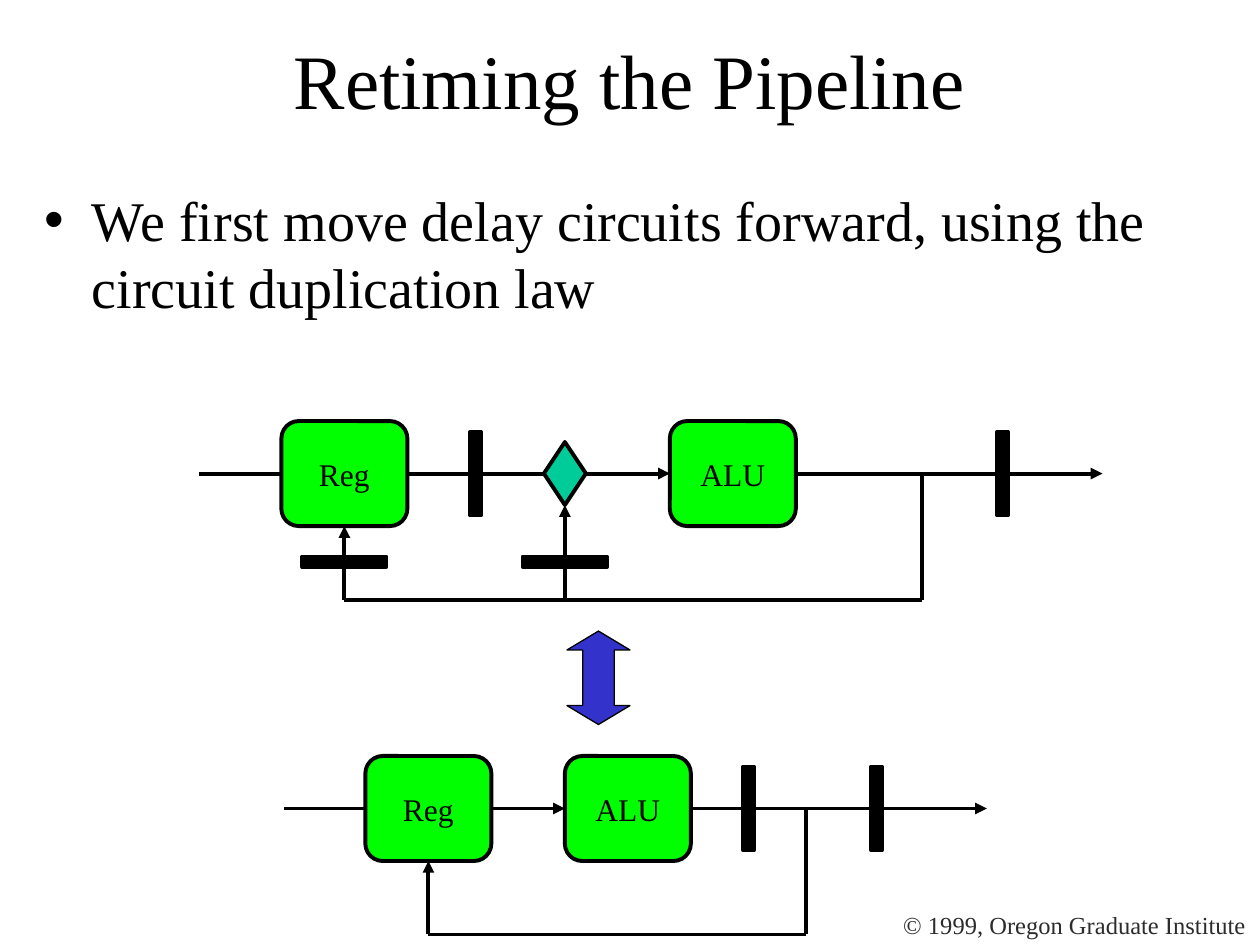
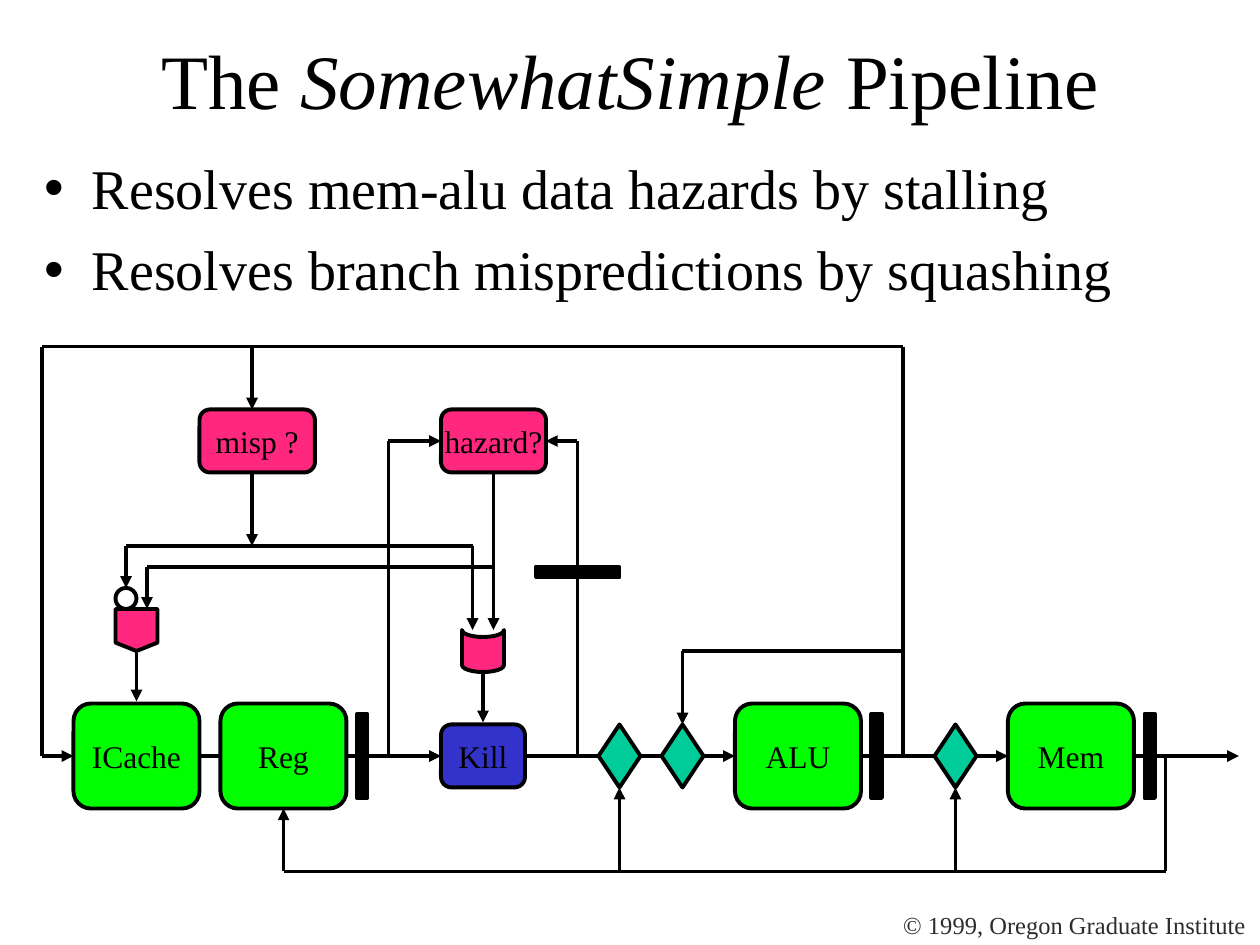
from itertools import pairwise

from lxml import etree
from pptx import Presentation
from pptx import util as u
from pptx.dml.color import RGBColor
from pptx.enum import shapes, text
from pptx.oxml.ns import qn

BLACK = RGBColor(0x00, 0x00, 0x00)
WHITE = RGBColor(0xFF, 0xFF, 0xFF)
FOOTER_GREY = RGBColor(0x2C, 0x2C, 0x2C)
STAGE_GREEN = RGBColor(0x01, 0xFF, 0x01)
MUX_TEAL = RGBColor(0x00, 0xCC, 0x99)
CONTROL_PINK = RGBColor(0xFF, 0x27, 0x7E)
BLUE = RGBColor(0x33, 0x33, 0xCC)

FONT = "Times New Roman"
FOOTER = "© 1999, Oregon Graduate Institute"
LINE_WIDTH = 2.25
KIND = shapes.MSO_SHAPE


def grid(n):
    """Length of n grid cells, twelve to the inch."""
    return u.Inches(n / 12)


def place(sp, left, top, width, height):
    sp.left, sp.top, sp.width, sp.height = map(
        u.Inches, (left, top, width, height))


def style(p, size, color=BLACK, align=text.PP_ALIGN.LEFT):
    p.font.name, p.font.size = FONT, u.Pt(size)
    p.font.color.rgb = color
    p.alignment = align


def add_title(slide, runs):
    """Fill the title from (text, italic) pairs."""
    sp = slide.shapes.title
    place(sp, 0.75, 0, 8.5, 1.25)
    tf = sp.text_frame
    tf.auto_size = text.MSO_AUTO_SIZE.NONE
    tf.vertical_anchor = text.MSO_ANCHOR.MIDDLE
    p = tf.paragraphs[0]
    style(p, 44, align=text.PP_ALIGN.CENTER)
    for words, italic in runs:
        r = p.add_run()
        r.text, r.font.italic = words, italic


def add_bullets(slide, top, height, items):
    sp = slide.placeholders[1]
    place(sp, 0.25, top, 9.5, height)
    tf = sp.text_frame
    tf.text = "\n".join(items)
    tf.auto_size = text.MSO_AUTO_SIZE.NONE
    for p in tf.paragraphs:
        style(p, 32)
        p.space_before = u.Pt(8)
        props = p._p.get_or_add_pPr()
        props.set("marL", str(u.Inches(0.38)))
        props.set("indent", str(u.Inches(-0.38)))
        etree.SubElement(props, qn("a:buChar"), char="•")


def add_footer(slide):
    sp = slide.shapes.add_textbox(0, 0, 0, 0)
    place(sp, 7.07, 7.17, 2.92, 0.34)
    tf = sp.text_frame
    tf.word_wrap = False
    p = tf.paragraphs[0]
    p.text = FOOTER
    style(p, 14, FOOTER_GREY)


def new_slide(prs, title, top, height, bullets):
    slide = prs.slides.add_slide(prs.slide_layouts[1])
    add_footer(slide)
    add_title(slide, title)
    add_bullets(slide, top, height, bullets)
    return slide


def add_wire(slide, *points, arrow=True):
    """Join grid points with straight lines, the last one ending in an arrow."""
    for start, end in pairwise(points):
        line = slide.shapes.add_connector(
            shapes.MSO_CONNECTOR.STRAIGHT, *map(grid, start + end))
        line.line.color.rgb = BLACK
        line.line.width = u.Pt(LINE_WIDTH)
        etree.SubElement(line._element.spPr, qn("a:effectLst"))
    if arrow:
        etree.SubElement(line.line._get_or_add_ln(), qn("a:tailEnd"),
                         type="triangle")


def add_node(slide, kind, x, y, w, h, fill, rotation=0):
    """Add a shape centred on the grid point (x, y)."""
    sp = slide.shapes.add_shape(
        kind, grid(x - w / 2), grid(y - h / 2), grid(w), grid(h))
    sp.shadow.inherit = False
    sp.rotation = rotation
    sp.fill.solid()
    sp.fill.fore_color.rgb = fill
    sp.line.color.rgb = BLACK
    sp.line.width = u.Pt(LINE_WIDTH)
    return sp


def add_block(slide, label, x, y, w=12, h=10, fill=STAGE_GREEN):
    sp = add_node(slide, KIND.ROUNDED_RECTANGLE, x, y, w, h, fill)
    tf = sp.text_frame
    tf.word_wrap = False
    tf.vertical_anchor = text.MSO_ANCHOR.MIDDLE
    p = tf.paragraphs[0]
    p.text = label
    style(p, 18, align=text.PP_ALIGN.CENTER)


def add_delay(slide, x, y, rotation=0):
    add_node(slide, KIND.RECTANGLE, x, y, 1, 8, BLACK, rotation)


def add_mux(slide, x, y):
    add_node(slide, KIND.DIAMOND, x, y, 4, 6, MUX_TEAL)


def build_retiming(prs):
    slide = new_slide(
        prs, [("Retiming the Pipeline", False)], 1.42, 1.67,
        ["We first move delay circuits forward, using the circuit "
         "duplication law"])

    row, loop, reg, mux, alu, tap = 45.1, 57.1, 32.8, 53.8, 69.8, 87.8
    add_wire(slide, (19, row), (alu - 6, row))
    add_wire(slide, (alu + 6, row), (105, row))
    add_wire(slide, (tap, row), (tap, loop), (reg, loop), (reg, row + 5))
    add_wire(slide, (mux, loop), (mux, row + 3))
    add_block(slide, "Reg", reg, row)
    add_block(slide, "ALU", alu, row)
    add_mux(slide, mux, row)
    for x in (45.3, 95.5):
        add_delay(slide, x, row)
    for x in (reg, mux):
        add_delay(slide, x, 53.5, 270)

    row, loop, reg, alu, tap = 77, 89, 40.8, 59.8, 76.8
    add_wire(slide, (27, row), (alu - 6, row))
    add_wire(slide, (alu + 6, row), (94, row))
    add_wire(slide, (tap, row), (tap, loop), (reg, loop), (reg, row + 5))
    add_block(slide, "Reg", reg, row)
    add_block(slide, "ALU", alu, row)
    for x in (71.3, 83.5):
        add_delay(slide, x, row)

    equivalence = add_node(slide, KIND.LEFT_RIGHT_ARROW, 57, 64.55, 8.9, 6,
                           BLUE, 270)
    equivalence.line.width = u.Pt(0.75)
    equivalence.adjustments[1] = 0.3


def build_somewhat_simple(prs):
    slide = new_slide(
        prs,
        [("The ", False), ("SomewhatSimple", True), (" Pipeline", False)],
        1.17, 1.33,
        ["Resolves mem-alu data hazards by stalling",
         "Resolves branch mispredictions by squashing"])

    row, loop, control = 72, 83, 42
    for start, end in ((19, 42), (50, 70), (82, 96), (108, 118)):
        add_wire(slide, (start, row), (end, row))

    # Write-back loop and ALU bypass
    add_wire(slide, (111, row), (111, loop), (27, loop), (27, row + 5))
    for x in (59, 91):
        add_wire(slide, (x, loop), (x, row + 3))
    add_wire(slide, (86, 62), (65, 62), (65, row - 3))

    # Branch resolution
    add_wire(slide, (86, row), (86, 33), (4, 33), (4, row), (7, row))
    add_wire(slide, (24, 33), (24, control - 3))
    add_wire(slide, (24, control + 3), (24, 52))
    add_wire(slide, (45, 52), (12, 52), (12, 56))
    add_wire(slide, (45, 52), (45, 60))

    # Hazard detection
    add_wire(slide, (37, row), (37, control), (42, control))
    add_wire(slide, (55, row), (55, control), (52, control))
    add_wire(slide, (47, control + 3), (47, 60))
    add_wire(slide, (47, 54), (14, 54), (14, 58))

    add_wire(slide, (13, 62.2), (13, 66.8))
    add_wire(slide, (46, 64.2), (46, 68.8))

    for label, x in (("ICache", 13), ("Reg", 27), ("ALU", 76), ("Mem", 102)):
        add_block(slide, label, x, row)
    add_block(slide, "Kill", 46, row, 8, 6, BLUE)
    add_block(slide, "misp ?", 24.5, control, 11, 6, CONTROL_PINK)
    add_block(slide, "hazard?", 47, control, 10, 6, CONTROL_PINK)
    for x in (34.5, 83.5, 109.5):
        add_delay(slide, x, row)
    add_delay(slide, 55, 54.5, 270)
    for x in (59, 65, 91):
        add_mux(slide, x, row)
    add_node(slide, KIND.FLOWCHART_OFFPAGE_CONNECTOR, 13, 60, 4, 4,
             CONTROL_PINK)
    add_node(slide, KIND.OVAL, 12, 57, 2, 2, WHITE)
    add_node(slide, KIND.FLOWCHART_STORED_DATA, 46, 62, 4, 4,
             CONTROL_PINK, 270)


def main():
    prs = Presentation()
    prs.slide_width, prs.slide_height = u.Inches(10), u.Inches(7.5)
    build_retiming(prs)
    build_somewhat_simple(prs)
    prs.save("out.pptx")


if __name__ == "__main__":
    main()
